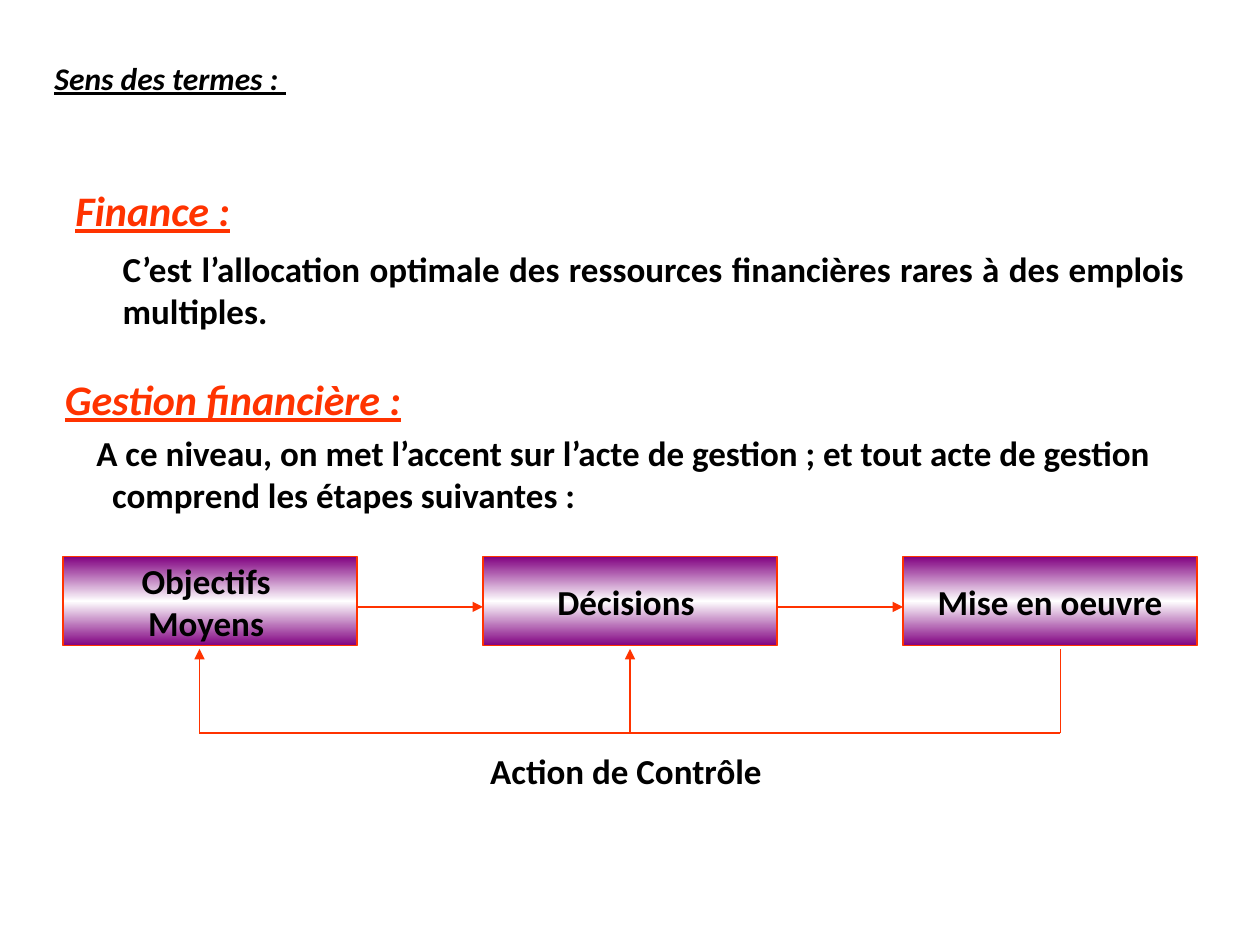
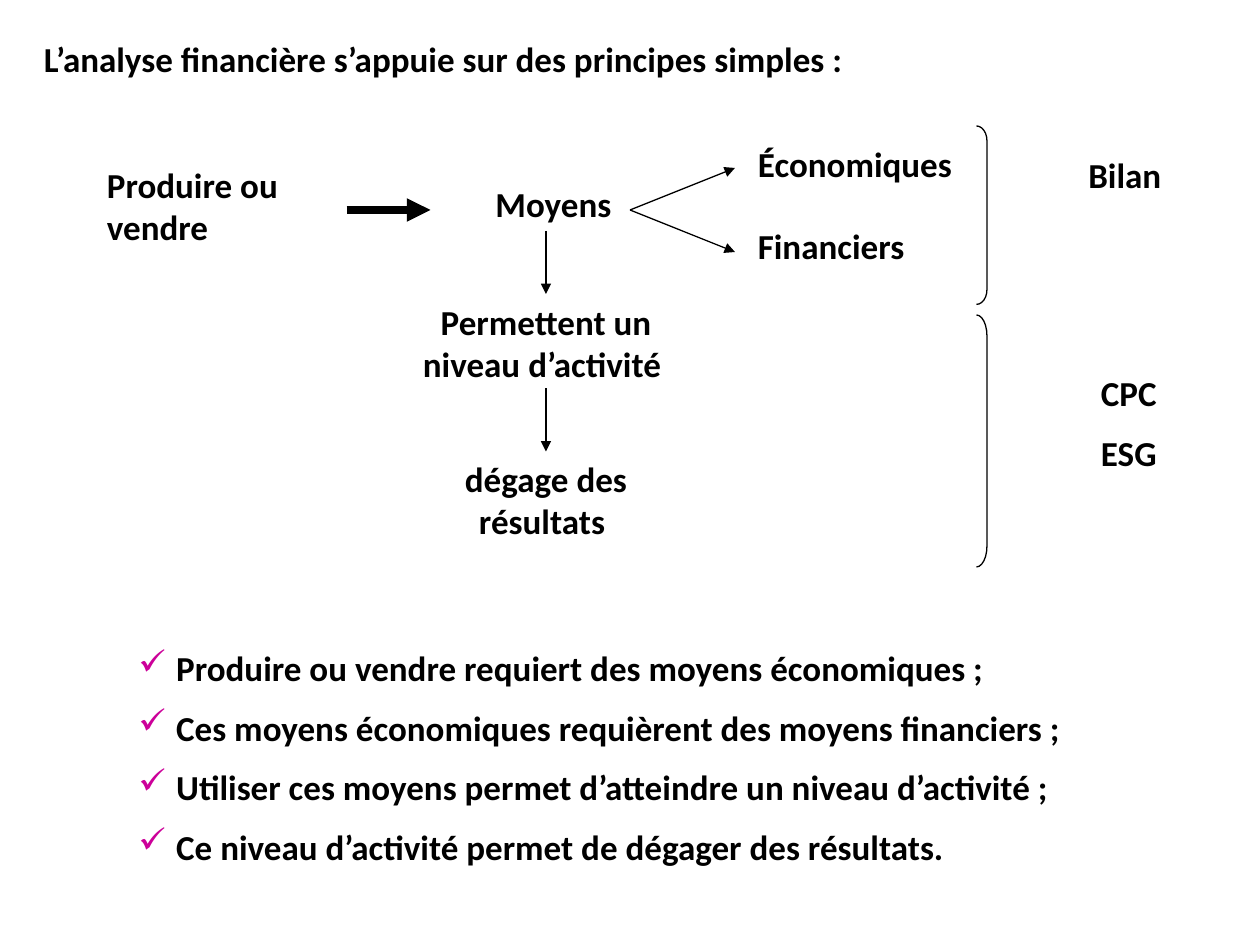
from copy import deepcopy
from lxml import etree
from pptx import Presentation, util as u
from pptx.dml.color import RGBColor
from pptx.enum import shapes as sh, text as tx
from pptx.oxml.ns import qn

INK = {"text": "000000", "head": "FF3300", "band": "800080",
       "mid": "FFFFFF", "tick": "CC0099"}
COLS, ROWS = 120, 90                      # one cell is 1/12 inch
BODY = {"name": "Calibri", "size": u.Pt(20), "bold": True}
SLANT = {"italic": True, "underline": True}
HEAD = {**BODY, **SLANT, "size": u.Pt(24)}
NOTE = {**BODY, **SLANT, "size": u.Pt(18)}
MID, JUST = tx.PP_ALIGN.CENTER, tx.PP_ALIGN.JUSTIFY

deck = Presentation()
deck.slide_width, deck.slide_height = u.Inches(10), u.Inches(7.5)


def rgb(key):
    """Give a named colour."""
    return RGBColor.from_string(INK[key])


def cells(*vals):
    """Turn grid cells into lengths."""
    return [int(v * deck.slide_width / COLS) for v in vals]


def put(obj, fmt):
    """Set each format value on an object."""
    for key, val in fmt.items():
        setattr(obj, key, val)


def para(frame, words, first=False, font=BODY, ink="text", **fmt):
    """Write one paragraph into a frame."""
    p = frame.paragraphs[0] if first else frame.add_paragraph()
    put(p, fmt)
    run = p.add_run()
    run.text = words
    put(run.font, font)
    run.font.color.rgb = rgb(ink)
    return p


def indent(p, left, hang=0):
    """Set the left margin and first-line indent, in cells."""
    left, hang = cells(left, hang)
    p._p.get_or_add_pPr().set("marL", str(left))
    p._p.get_or_add_pPr().set("indent", str(hang))


def tick(p):
    """Give a paragraph a coloured tick as its bullet."""
    indent(p, 3.6, -3.6)
    ppr = p._p.get_or_add_pPr()
    clr = etree.SubElement(ppr, qn("a:buClr"))
    etree.SubElement(clr, qn("a:srgbClr")).set("val", INK["tick"])
    etree.SubElement(ppr, qn("a:buChar")).set("char", "✓")


def label(page, box, *lines, grow=True, gap=10, **fmt):
    """Place a text box with one paragraph per line."""
    frame = page.shapes.add_textbox(*cells(*box)).text_frame
    frame.word_wrap = True
    frame.auto_size = (tx.MSO_AUTO_SIZE.SHAPE_TO_FIT_TEXT if grow
                       else tx.MSO_AUTO_SIZE.NONE)
    for i, words in enumerate(lines):
        para(frame, words, not i, space_before=u.Pt(gap if i else 0), **fmt)
    return frame


def line(page, a, b, ink="text", width=0.75, tip=True):
    """Draw a line from a to b, with an arrowhead if asked."""
    rod = page.shapes.add_connector(sh.MSO_CONNECTOR.STRAIGHT, *cells(*a, *b))
    rod.line.color.rgb = rgb(ink)
    rod.line.width = u.Pt(width)
    if tip:
        end = etree.SubElement(rod.line._get_or_add_ln(), qn("a:tailEnd"))
        end.set("type", "triangle")
    etree.SubElement(rod._element.spPr, qn("a:effectLst"))


def term(page, box, head, words, left, hang=0, gap=4, align=None):
    """Place a red heading with its definition below."""
    frame = label(page, box, head, grow=False, font=HEAD, ink="head")
    indent(para(frame, words, alignment=align, space_before=u.Pt(gap)),
           left, hang)


def step(page, box, *lines):
    """Draw a banded box holding centred lines."""
    tile = page.shapes.add_shape(sh.MSO_SHAPE.RECTANGLE, *cells(*box))
    tile.shadow.inherit = False
    tile.line.color.rgb = rgb("head")
    tile.line.width = u.Pt(0.75)
    fill = tile.fill
    fill.gradient()
    stops = tile._element.spPr.find(".//" + qn("a:gsLst"))
    stops.append(deepcopy(stops[-1]))
    for i, (stop, ink) in enumerate(zip(fill.gradient_stops,
                                        ("band", "mid", "band"))):
        stop.color.rgb, stop.position = rgb(ink), i / 2
    fill.gradient_angle = 90
    frame = tile.text_frame
    put(frame, {"word_wrap": False, "vertical_anchor": tx.MSO_ANCHOR.MIDDLE})
    for i, words in enumerate(lines):
        para(frame, words, not i, alignment=MID)


def cycle(page, box):
    """Draw the three steps with their control loop."""
    x, y, w, h = box
    wide, tall = 28, 8.5
    pitch = (w - wide) / 2
    names = (("Objectifs ", "Moyens "), ("Décisions ",), ("Mise en oeuvre",))
    for i, lines in enumerate(names):
        step(page, (x + i * pitch, y, wide, tall), *lines)
    for i in range(2):
        far = x + (i + 1) * pitch
        line(page, (far - pitch + wide, y + 4.8), (far, y + 4.8), "head")
    loop = page.shapes.add_group_shape()
    top, low = y + 8.8, y + 16.8
    left, mid, right = (x + w / 2 + d for d in (-41, 0, 41))
    line(loop, (right, top), (right, low), "head", tip=False)
    line(loop, (right, low), (left, low), "head", tip=False)
    for at in (left, mid):
        line(loop, (at, low), (at, top), "head")
    label(page, (x + 29, y + 17.8, 50, 5.2), "Action de Contrôle ",
          alignment=MID)


def flow(page, box):
    """Draw the chain from means to results."""
    x, y, w, h = box
    label(page, (x, y + 3, 22, 9.2), "Produire ou vendre ")
    line(page, (x + 24, y + 8), (x + 32, y + 8), width=4.5)
    label(page, (x + 37, y + 4.8, 22, 5.2), "Moyens ")
    for words, tip, top in (("Économiques ", 4, 1), ("Financiers ", 12, 8.8)):
        line(page, (x + 51, y + 8), (x + 61, y + tip))
        label(page, (x + 62, y + top, 23, 5.2), words)
    for i, words in enumerate(("Permettent un niveau d’activité ",
                               "dégage des résultats ")):
        top = y + 16 + 15 * i
        line(page, (x + 43, top - 6 * (1 - i) - i * 6), (x + 43, top))
        label(page, (x + 29, top, 28, 9.2), words, alignment=MID)


def report(page, box, drop, *lines):
    """Bracket a stage and name its reports on the right."""
    x, y, w, h = box
    mark = page.shapes.add_shape(sh.MSO_SHAPE.RIGHT_BRACKET,
                                 *cells(x, y, 1, h))
    mark.shadow.inherit = False
    mark.fill.background()
    mark.line.color.rgb = rgb("text")
    mark.line.width = u.Pt(0.75)
    mark.adjustments[0] = h / 12
    label(page, (x + 4, y + drop, w - 4, 5.2), *lines, alignment=MID)


def terms():
    """Build the slide that defines the terms."""
    page = deck.slides.add_slide(deck.slide_layouts[6])
    term(page, (6, 17, 108, 17), "Finance :",
         "C’est l’allocation optimale des ressources financières rares "
         "à des emplois multiples.", 4.5, gap=7, align=JUST)
    term(page, (5, 35, 109, 53), "Gestion financière :",
         "A ce niveau, on met l’accent sur l’acte de gestion ; et tout acte "
         "de gestion comprend les étapes suivantes :", 4.5, -1.5)
    cycle(page, (6, 53, 108, 23))
    label(page, (4, 5, 94, 6.8), "Sens des termes : ", font=NOTE)


def rules():
    """Build the slide on the principles of analysis."""
    page = deck.slides.add_slide(deck.slide_layouts[6])
    label(page, (3, 3, 113, 5.2),
          "L’analyse financière s’appuie sur des principes simples : ")
    flow(page, (9, 12, 84, 42))
    report(page, (93, 12, 25, 17), 2, "Bilan ")
    report(page, (93, 30, 25, 24), 4.8, "CPC", "ESG")
    frame = label(page, (12, 61, 98, 23.2),
                  "Produire ou vendre requiert des moyens économiques ;",
                  "Ces moyens économiques requièrent des moyens financiers ;",
                  "Utiliser ces moyens permet d’atteindre un niveau d’activité ;",
                  "Ce niveau d’activité permet de dégager des résultats.",
                  alignment=JUST)
    for p in frame.paragraphs:
        tick(p)


terms()
rules()
deck.save("out.pptx")
